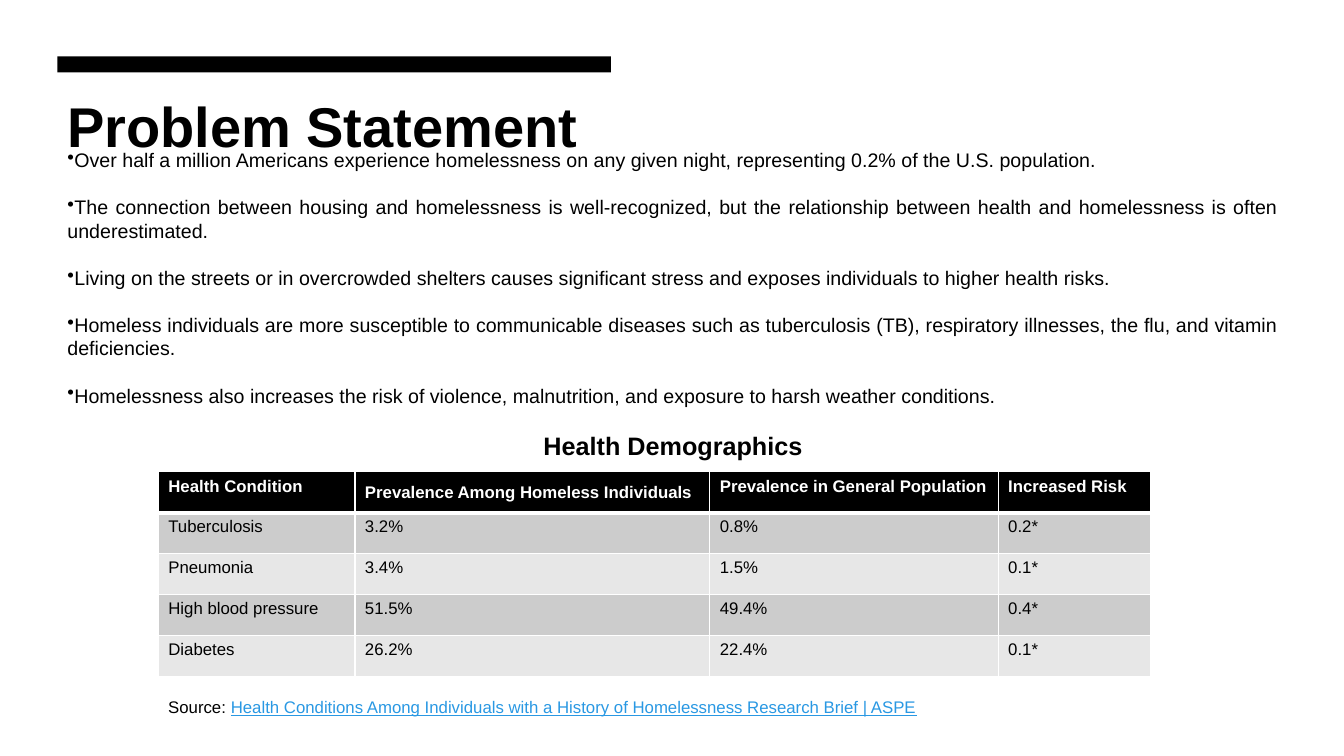
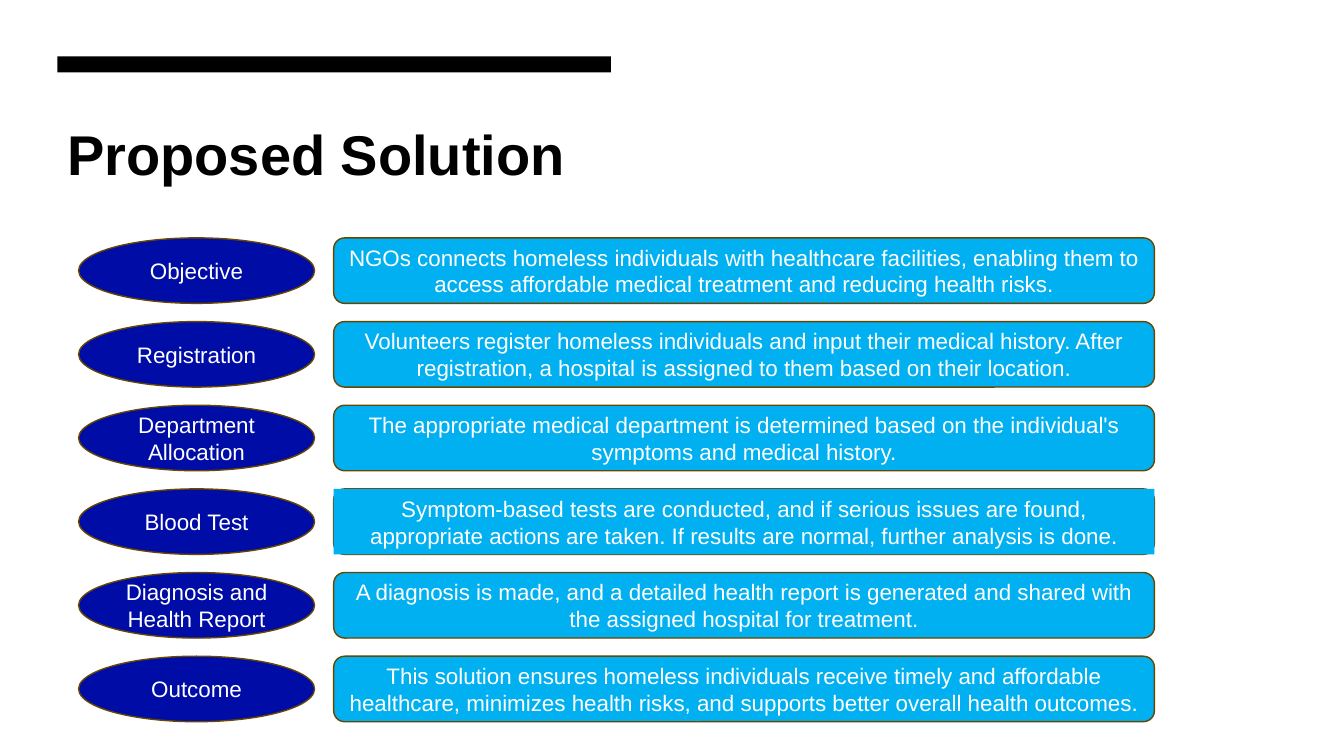
"""Build the homelessness health slides: problem statement and proposed solution."""
from dataclasses import dataclass

from lxml import etree
from pptx import Presentation
from pptx.dml.color import RGBColor
from pptx.enum import shapes, text
from pptx.oxml import ns
from pptx.util import Inches, Pt


@dataclass(frozen=True)
class Theme:
    """Colours, font and type sizes shared by the slides."""
    font: str = "Arial"
    black: str = "000000"
    white: str = "FFFFFF"
    link: str = "2998E3"
    step: str = "000CA6"
    detail: str = "00B0F0"
    outline: str = "674600"
    stripes: tuple = ("CCCCCC", "E7E7E7")
    title_size: int = 40
    heading_size: int = 18
    step_size: int = 16
    body_size: int = 14
    table_size: int = 12
    leading: float = 1.2


THEME = Theme()
MARGIN = 0.57

FACTS = (
    "Over half a million Americans experience homelessness on any given night, "
    "representing 0.2% of the U.S. population.",
    "The connection between housing and homelessness is well-recognized, but the "
    "relationship between health and homelessness is often underestimated.",
    "Living on the streets or in overcrowded shelters causes significant stress and "
    "exposes individuals to higher health risks.",
    "Homeless individuals are more susceptible to communicable diseases such as "
    "tuberculosis (TB), respiratory illnesses, the flu, and vitamin deficiencies.",
    "Homelessness also increases the risk of violence, malnutrition, and exposure to "
    "harsh weather conditions.",
)

CONDITIONS = (
    ("Health Condition", "Prevalence Among Homeless Individuals",
     "Prevalence in General Population", "Increased Risk"),
    ("Tuberculosis", "3.2%", "0.8%", "0.2*"),
    ("Pneumonia", "3.4%", "1.5%", "0.1*"),
    ("High blood pressure", "51.5%", "49.4%", "0.4*"),
    ("Diabetes", "26.2%", "22.4%", "0.1*"),
)
COLUMN_WIDTHS = (1.95, 3.52, 2.86, 1.51)

SOURCE = ("Health Conditions Among Individuals with a History of Homelessness "
          "Research Brief | ASPE")

STEPS = (
    ("Objective",
     "NGOs connects homeless individuals with healthcare facilities, enabling them to "
     "access affordable medical treatment and reducing health risks."),
    ("Registration",
     "Volunteers register homeless individuals and input their medical history. After "
     "registration, a hospital is assigned to them based on their location."),
    ("Department Allocation",
     "The appropriate medical department is determined based on the individual's "
     "symptoms and medical history."),
    ("Blood Test",
     "Symptom-based tests are conducted, and if serious issues are found, appropriate "
     "actions are taken. If results are normal, further analysis is done."),
    ("Diagnosis and Health Report",
     "A diagnosis is made, and a detailed health report is generated and shared with "
     "the assigned hospital for treatment."),
    ("Outcome",
     "This solution ensures homeless individuals receive timely and affordable "
     "healthcare, minimizes health risks, and supports better overall health outcomes."),
)
SQUARED_STEP = "Blood Test"


def rgb(code):
    """Return the colour for a hex code."""
    return RGBColor.from_string(code)


def style(paragraph, size, color=THEME.black, bold=False, align=None):
    """Set the font and alignment of a paragraph."""
    paragraph.font.name = THEME.font
    paragraph.font.size = Pt(size)
    paragraph.font.color.rgb = rgb(color)
    paragraph.font.bold = bold
    paragraph.alignment = align


def add_text_frame(slide, left, top, width, height):
    """Add a wrapping text box and return its text frame."""
    box = slide.shapes.add_textbox(*map(Inches, (left, top, width, height)))
    box.text_frame.word_wrap = True
    return box.text_frame


def add_panel(slide, kind, bounds, fill, line=None, label=""):
    """Add a filled shape with an optional outline and centred label."""
    panel = slide.shapes.add_shape(kind, *map(Inches, bounds))
    panel.shadow.inherit = False
    panel.fill.solid()
    panel.fill.fore_color.rgb = rgb(fill)
    if line:
        panel.line.color.rgb = rgb(line)
        panel.line.width = Pt(1)
    else:
        panel.line.fill.background()
    if label:
        frame = panel.text_frame
        frame.word_wrap = True
        frame.vertical_anchor = text.MSO_ANCHOR.MIDDLE
        frame.text = label
        style(frame.paragraphs[0], THEME.step_size, THEME.white,
              align=text.PP_ALIGN.CENTER)


def add_titled_slide(deck, title, title_top):
    """Add a blank slide with the black band and a title."""
    slide = deck.slides.add_slide(deck.slide_layouts[6])
    add_panel(slide, shapes.MSO_SHAPE.RECTANGLE, (MARGIN, 0.56, 5.49, 0.16), THEME.black)
    frame = add_text_frame(slide, MARGIN, title_top, 6.54, 0.75)
    frame.text = title
    style(frame.paragraphs[0], THEME.title_size, bold=True)
    return slide


def add_bullet(paragraph):
    """Give a paragraph a round bullet without an indent."""
    properties = paragraph._p.get_or_add_pPr()
    etree.SubElement(properties, ns.qn("a:buChar"), char="•")


def add_facts(slide):
    """Add the bulleted facts and the heading of the table below them."""
    frame = add_text_frame(slide, MARGIN, 1.42, 12.21, 3.23)
    for fact in FACTS:
        paragraph = frame.paragraphs[0] if fact is FACTS[0] else frame.add_paragraph()
        paragraph.text = fact
        style(paragraph, THEME.body_size, align=text.PP_ALIGN.JUSTIFY)
        paragraph.line_spacing = paragraph.space_after = Pt(THEME.body_size * THEME.leading)
        add_bullet(paragraph)
    heading = frame.add_paragraph()
    heading.text = "Health Demographics"
    style(heading, THEME.heading_size, bold=True, align=text.PP_ALIGN.CENTER)
    heading.line_spacing = Pt(THEME.heading_size * THEME.leading)


def add_borders(cell, top, bottom):
    """Draw white cell borders with the given top and bottom widths."""
    properties = cell._tc.get_or_add_tcPr()
    for side, width in (("L", 1), ("R", 1), ("T", top), ("B", bottom)):
        border = etree.SubElement(properties, ns.qn(f"a:ln{side}"), w=str(Pt(width)))
        fill = etree.SubElement(border, ns.qn("a:solidFill"))
        etree.SubElement(fill, ns.qn("a:srgbClr"), val=THEME.white)


def add_conditions_table(slide):
    """Add the table of health conditions."""
    table = slide.shapes.add_table(
        len(CONDITIONS), len(COLUMN_WIDTHS),
        *map(Inches, (1.57, 4.68, sum(COLUMN_WIDTHS), 2.03))).table
    for column, width in zip(table.columns, COLUMN_WIDTHS):
        column.width = Inches(width)
    for row, values in enumerate(CONDITIONS):
        header = row == 0
        for column, value in enumerate(values):
            cell = table.cell(row, column)
            cell.text = value
            style(cell.text_frame.paragraphs[0], THEME.table_size,
                  THEME.white if header else THEME.black, bold=header)
            add_borders(cell, top=3 if row == 1 else 1, bottom=3 if header else 1)
            cell.fill.solid()
            cell.fill.fore_color.rgb = rgb(
                THEME.black if header else THEME.stripes[(row - 1) % 2])
    table.cell(0, 1).vertical_anchor = text.MSO_ANCHOR.MIDDLE


def add_source(slide):
    """Add the source line below the table."""
    paragraph = add_text_frame(slide, 1.57, 6.86, 9.84, 0.3).paragraphs[0]
    style(paragraph, THEME.table_size)
    paragraph.add_run().text = "Source: "
    reference = paragraph.add_run()
    reference.text = SOURCE
    reference.font.color.rgb = rgb(THEME.link)
    reference.font.underline = True


def add_steps(slide):
    """Add one row per step: its name and its description."""
    height, pitch = 0.65, 0.83
    for index, (name, description) in enumerate(STEPS):
        top = 2.36 + index * pitch
        squared = name == SQUARED_STEP
        detail_bounds = (3.31, top, 8.14, height)
        add_panel(slide, shapes.MSO_SHAPE.OVAL, (0.78, top, 2.34, height),
                  THEME.step, THEME.outline, name)
        add_panel(slide, shapes.MSO_SHAPE.ROUNDED_RECTANGLE, detail_bounds,
                  THEME.detail, THEME.outline, "" if squared else description)
        if squared:
            add_panel(slide, shapes.MSO_SHAPE.RECTANGLE, detail_bounds,
                      THEME.detail, label=description)


def main():
    """Build and save both slides."""
    deck = Presentation()
    deck.slide_width, deck.slide_height = Inches(13.33), Inches(7.5)
    problem = add_titled_slide(deck, "Problem Statement", 0.86)
    add_facts(problem)
    add_conditions_table(problem)
    add_source(problem)
    solution = add_titled_slide(deck, "Proposed Solution", 1.14)
    add_steps(solution)
    deck.save("out.pptx")


if __name__ == "__main__":
    main()
